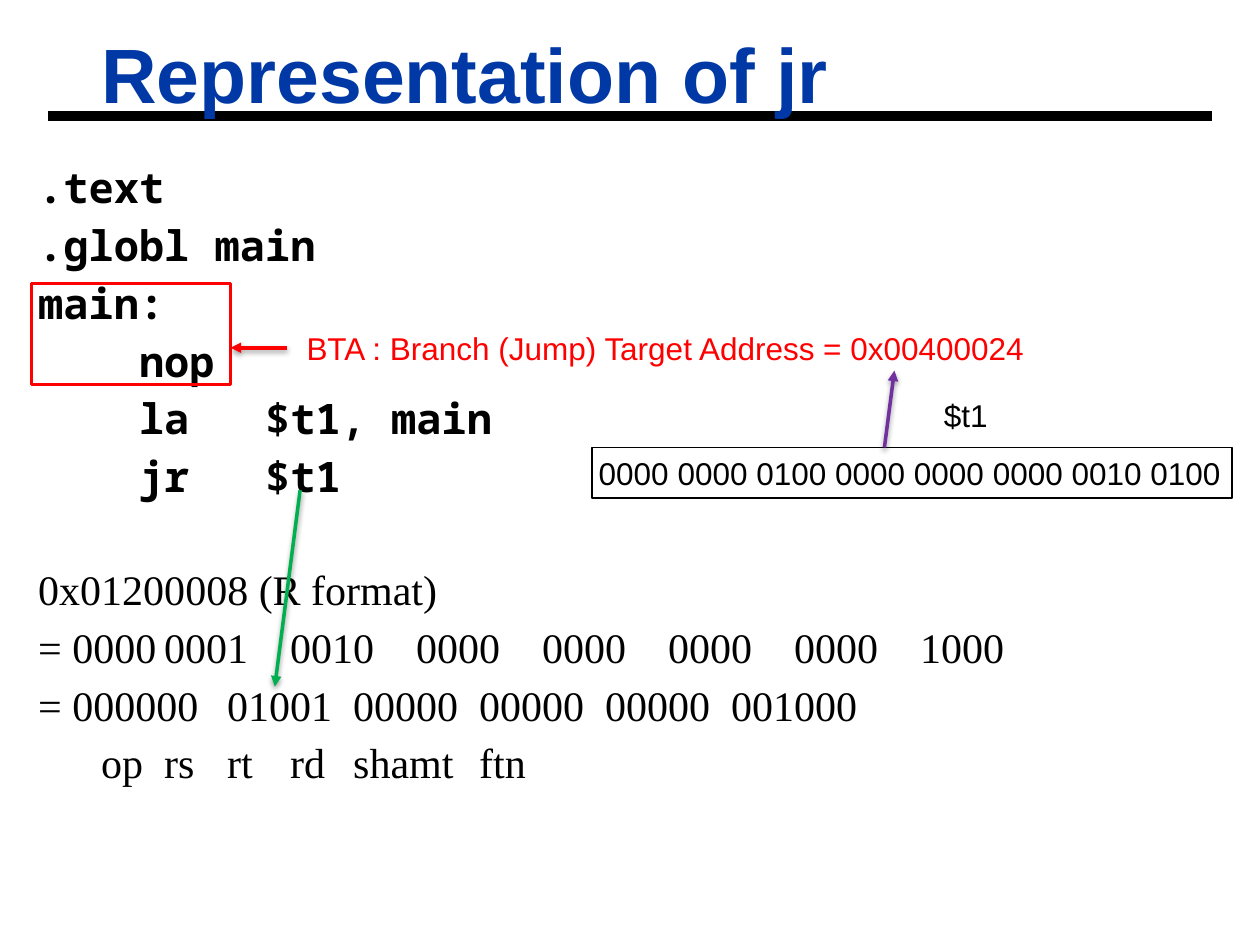
"""Build the slide on the machine representation of the jr instruction."""
from lxml import etree
from pptx import Presentation
from pptx.dml.color import RGBColor
from pptx.enum.shapes import MSO_CONNECTOR, MSO_SHAPE
from pptx.enum.text import MSO_ANCHOR, MSO_AUTO_SIZE, PP_ALIGN
from pptx.oxml.ns import qn
from pptx.util import Cm, Pt

STRAIGHT = MSO_CONNECTOR.STRAIGHT
RECTANGLE = MSO_SHAPE.RECTANGLE
BOTTOM, TOP = MSO_ANCHOR.BOTTOM, MSO_ANCHOR.TOP
NO_FIT = MSO_AUTO_SIZE.NONE
LEFT = PP_ALIGN.LEFT

COLORS = {
    "ink": "000000",
    "title": "0039A6",
    "target": "FF0000",
    "register": "00B050",
    "address": "7030A0",
}

TITLE = "Representation of jr"
CODE = [
    ".text",
    ".globl main",
    "main:",
    "    nop",
    "    la   $t1, main",
    "    jr   $t1",
]
FORMAT_LINE = "0x01200008 (R format)"
NIBBLES = ["0000", "0001", "0010", "0000", "0000", "0000", "0000", "1000"]
FIELDS = ["000000", "01001", "00000", "00000", "00000", "001000"]
FIELD_NAMES = ["op", "rs", "rt", "rd", "shamt", "ftn"]
FIELD_NAME_STOPS = [1.27, 4.65, 6.93, 9.35, 11.33, 14.43]

LABELS = [
    ("BTA : Branch (Jump) Target Address = 0x00400024", (6.05, 6.5, 15.06, 1.02), "target"),
    ("$t1", (18.9, 7.85, 1.14, 1.02), "ink"),
]
REGISTER_VALUE = "0000 0000 0100 0000 0000 0000 0010 0100"
REGISTER_BOX = (11.94, 9.02, 12.9, 1.02)
TARGET_BOX = (0.64, 5.72, 4.01, 2.03)
RULE = (0.97, 2.34, 24.43, 2.34)
ARROWS = [
    ((5.79, 7.01, 4.65, 7.01), "target"),
    ((6.05, 9.88, 5.54, 13.84), "register"),
    ((17.83, 9.02, 18.03, 7.47), "address"),
]

INSET = Cm(0.13)
FRAME = {
    "margin_left": INSET,
    "margin_right": INSET,
    "margin_top": INSET,
    "margin_bottom": INSET,
    "auto_size": NO_FIT,
}
TITLE_FONT = {"name": "Arial", "size": Pt(44), "bold": True}
LABEL_FONT = {"name": "Arial", "size": Pt(18), "bold": False}
CODE_FONT = {"name": "Noto Sans Mono", "size": Pt(24), "bold": True}
NUMBER_FONT = {"name": "Times New Roman", "size": Pt(24), "bold": False}
LINE_GAP, SECTION_GAP = Pt(7), Pt(38.6)


def rgb(color):
    return RGBColor.from_string(COLORS[color])


def apply(target, values):
    for name, value in values.items():
        setattr(target, name, value)


def place(shape, box):
    apply(shape, dict(zip(("left", "top", "width", "height"), map(Cm, box))))


def write(paragraph, text, font, color="ink"):
    paragraph.alignment = LEFT
    run = paragraph.add_run()
    run.text = text
    apply(run.font, font)
    run.font.color.rgb = rgb(color)


def write_frame(shape, text, font, color, **values):
    apply(shape.text_frame, FRAME | values)
    write(shape.text_frame.paragraphs[0], text, font, color)


def add_line(slide, ends, color, width):
    line = slide.shapes.add_connector(STRAIGHT, *map(Cm, ends))
    line.line.color.rgb = rgb(color)
    line.line.width = Pt(width)
    effects = etree.SubElement(line._element.spPr, qn("a:effectLst"))
    return line, effects


def add_arrow(slide, ends, color):
    arrow, effects = add_line(slide, ends, color, 2)
    etree.SubElement(arrow.line._get_or_add_ln(), qn("a:tailEnd"), type="triangle")
    shadow = etree.SubElement(
        effects, qn("a:outerShdw"), blurRad=str(Pt(3)), dist=str(Pt(1.6)),
        dir="5400000", rotWithShape="0")
    tint = etree.SubElement(shadow, qn("a:srgbClr"), val=COLORS["ink"])
    etree.SubElement(tint, qn("a:alpha"), val="38000")


def add_box(slide, box, color, width):
    shape = slide.shapes.add_shape(RECTANGLE, *map(Cm, box))
    shape.shadow.inherit = False
    shape.fill.background()
    shape.line.color.rgb = rgb(color)
    shape.line.width = Pt(width)
    return shape


def fill_body(body):
    nibble_stops = [0.69 + 2.12 * n for n in range(1, len(NIBBLES))]
    field_stops = [3.66 + 2.54 * n for n in range(len(FIELDS) - 1)]
    rows = [(line, CODE_FONT, [], LINE_GAP) for line in CODE]
    rows += [
        (FORMAT_LINE, NUMBER_FONT, [], SECTION_GAP),
        ("= " + "\t".join(NIBBLES), NUMBER_FONT, nibble_stops, LINE_GAP),
        ("= " + "\t".join(FIELDS), NUMBER_FONT, field_stops, LINE_GAP),
        ("\t" + "\t".join(FIELD_NAMES), NUMBER_FONT, FIELD_NAME_STOPS, LINE_GAP),
    ]
    frame = body.text_frame
    apply(frame, FRAME | {"word_wrap": True, "vertical_anchor": TOP})
    for index, (text, font, stops, gap) in enumerate(rows):
        paragraph = frame.add_paragraph() if index else frame.paragraphs[0]
        properties = paragraph._p.get_or_add_pPr()
        properties.set("marL", "0")
        properties.set("indent", "0")
        etree.SubElement(properties, qn("a:buNone"))
        if stops:
            tabs = etree.SubElement(properties, qn("a:tabLst"))
            for stop in stops:
                etree.SubElement(tabs, qn("a:tab"), pos=str(Cm(stop)), algn="l")
        apply(paragraph, {
            "line_spacing": Pt(26),
            "space_before": gap if index else Pt(0),
            "space_after": Pt(0),
        })
        write(paragraph, text, font)


def main():
    deck = Presentation()
    deck.slide_width, deck.slide_height = Cm(25.4), Cm(19.05)
    slide = deck.slides.add_slide(deck.slide_layouts[1])
    title, body = slide.placeholders

    rule, _ = add_line(slide, RULE, "ink", 6)
    slide.shapes._spTree.insert(2, rule._element)

    place(title, (1.91, 0.41, 22.94, 2.11))
    write_frame(title, TITLE, TITLE_FONT, "title", word_wrap=True, vertical_anchor=BOTTOM)
    place(body, (0.64, 3.23, 23.29, 13.74))
    fill_body(body)

    add_box(slide, TARGET_BOX, "target", 2)
    register = add_box(slide, REGISTER_BOX, "ink", 1)
    write_frame(register, REGISTER_VALUE, LABEL_FONT, "ink", word_wrap=False, vertical_anchor=TOP)
    for text, box, color in LABELS:
        label = slide.shapes.add_textbox(*map(Cm, box))
        write_frame(label, text, LABEL_FONT, color, word_wrap=False)
    for ends, color in ARROWS:
        add_arrow(slide, ends, color)

    deck.save("out.pptx")


if __name__ == "__main__":
    main()
